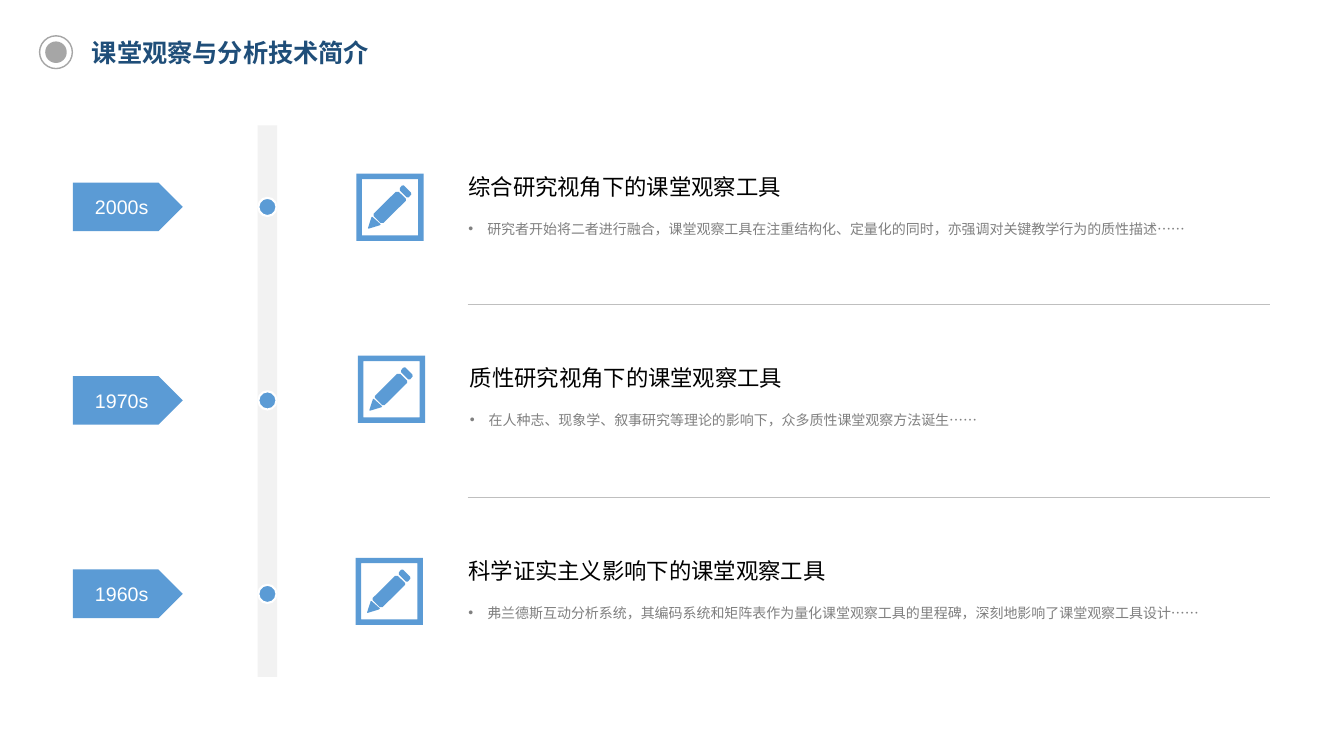
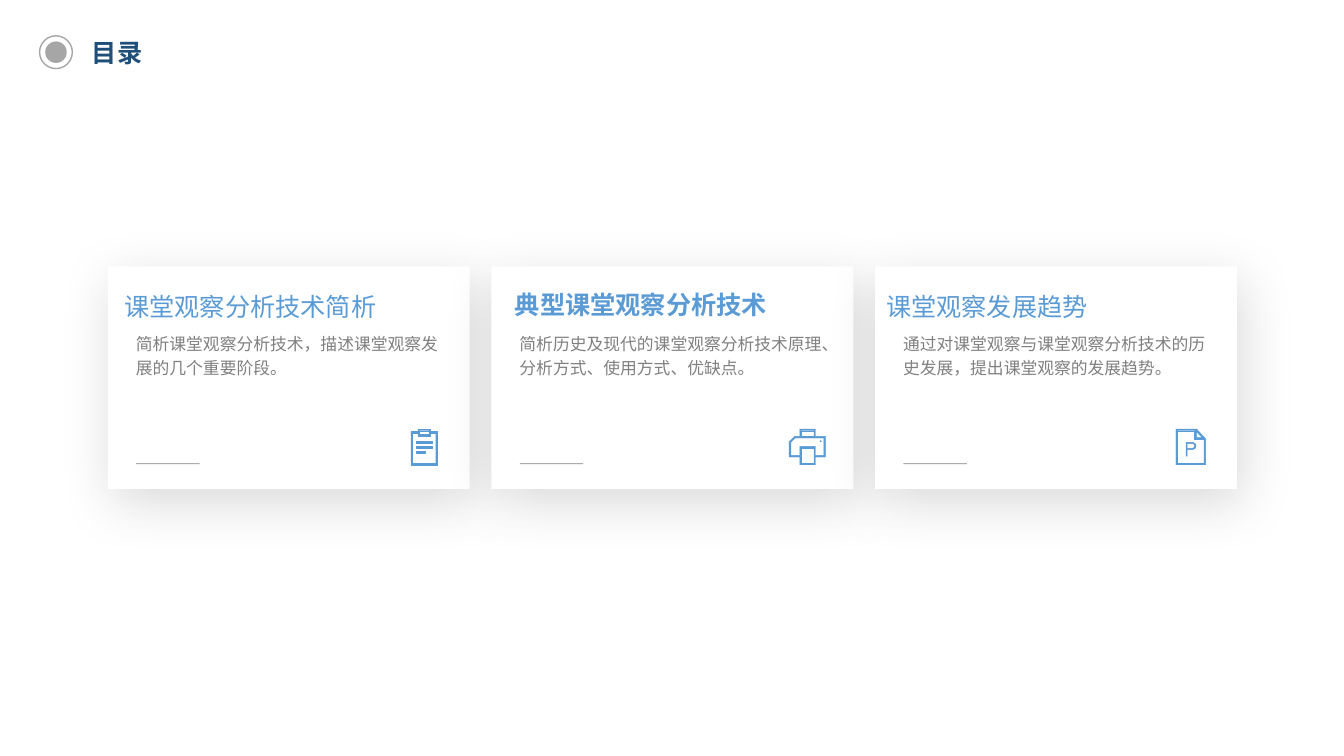
from lxml import etree
from pptx import Presentation
from pptx.dml.color import RGBColor
from pptx.enum.shapes import MSO_CONNECTOR as CONN, MSO_SHAPE as SHAPE
from pptx.enum.text import MSO_ANCHOR as ANCHOR, MSO_AUTO_SIZE as AUTO, PP_ALIGN as ALIGN
from pptx.oxml.ns import qn
from pptx.util import Pt

COLORS = {
    "blue": "5B9BD5", "navy": "1F4E79", "white": "FFFFFF", "black": "000000",
    "text": "808080", "marker": "A6A6A6", "rule": "BFBFBF", "band": "F2F2F2",
}
FONT = "Arial"
TITLE = {"size": Pt(18), "bold": True}
HEADING = {"size": Pt(16)}
DETAIL = {"size": Pt(10)}
TAG = {"size": Pt(14)}
CARD_TEXT = {"size": Pt(12)}

# Icon outlines in points; two points stand for the corners of a rectangle.
PENCIL = [
    [(0, 0), (48, 48)],
    [(3.9, 3.9), (44.1, 44.1)],
    [(28.1, 13), (12.2, 28.8), (12.2, 30.2), (17.3, 35.3), (19.2, 35.3),
     (35.3, 19.4), (35.3, 18), (30.2, 13)],
    [(33.8, 8.4), (38.9, 13.5), (39.2, 14.8), (37.4, 17), (36, 17),
     (31, 12), (31, 10.4), (32.4, 8.6)],
    [(11.5, 31), (17.3, 36.2), (16.8, 36.9), (8.6, 39.4), (8.2, 39), (10.8, 31)],
]
CLIPBOARD = [
    [(5, 0), (14, 0), (14, 1.8), (19, 1.8), (19, 25.5), (0, 25.5), (0, 1.8), (5, 1.8)],
    [(5, 2.9), (1.2, 2.9), (1.2, 24.3), (17.8, 24.3), (17.8, 2.9), (14, 2.9),
     (14, 4.8), (5, 4.8)],
    [(6.1, 1.2), (12.9, 3.6)],
    [(3.9, 8.9), (15, 10)],
    [(3.9, 12.4), (15, 13.5)],
    [(3.9, 15.9), (10, 17)],
]
PRINTER = [
    [(18.8, 0), (18.8, 5.2), (26, 5.2), (26, 20), (18.8, 20), (18.8, 25.5), (7.6, 25.5),
     (7.6, 20), (0, 20), (0, 9), (3.8, 5.2), (7.6, 5.2), (7.6, 0)],
    [(24.8, 6.4), (4.2, 6.4), (1.2, 9.4), (1.2, 18.8), (7.6, 18.8), (7.6, 12.4),
     (18.8, 12.4), (18.8, 18.8), (24.8, 18.8)],
    [(8.8, 13.6), (17.6, 24.3)],
    [(8.8, 1.2), (17.6, 5.2)],
    [(22, 8.7), (22.5, 8.2), (23, 8.7), (22.5, 9.2)],
]
DOCUMENT = [
    [(0, 0), (14.8, 0), (21.2, 6.9), (21.2, 25.5), (0, 25.5)],
    [(1.2, 1.2), (1.2, 24.3), (20, 24.3), (20, 7.3), (13.4, 7.3), (13.4, 1.2)],
    [(14.6, 1.9), (14.6, 6.1), (18.7, 6.1)],
    [(7.2, 9.5), (12, 9.5), (13.7, 10.3), (14.4, 12), (13.7, 13.9), (12, 14.7),
     (8.1, 14.7), (8.1, 19.3), (7.2, 19.3)],
    [(8.1, 10.4), (11.9, 10.4), (13, 11), (13.4, 12.1), (12.9, 13.2), (11.8, 13.8),
     (8.1, 13.8)],
]


def paint(s, fill=None, line=None, width=1):
    """Set fill and outline (none unless named) and drop the default shadow."""
    s.shadow.inherit = False
    if fill:
        s.fill.solid()
        s.fill.fore_color.rgb = RGBColor.from_string(COLORS[fill])
    else:
        s.fill.background()
    if line:
        s.line.color.rgb = RGBColor.from_string(COLORS[line])
        s.line.width = Pt(width)
    else:
        s.line.fill.background()


def write(s, text, style, color, align=ALIGN.LEFT, anchor=ANCHOR.TOP, spacing=1.0, wrap=True):
    """Fill a shape with one formatted paragraph and return that paragraph."""
    tf = s.text_frame
    tf.auto_size, tf.word_wrap, tf.vertical_anchor = AUTO.NONE, wrap, anchor
    p = tf.paragraphs[0]
    p.alignment, p.line_spacing = align, spacing
    r = p.add_run()
    r.text = text
    r.font.name = FONT
    r.font.color.rgb = RGBColor.from_string(COLORS[color])
    for name, value in style.items():
        setattr(r.font, name, value)
    return p


prs = Presentation()
prs.slide_width, prs.slide_height = Pt(960), Pt(540)

# Shared title and round marker
slides = []
for title in ("课堂观察与分析技术简介", "目录"):
    slide = prs.slides.add_slide(prs.slide_layouts[5])
    s = slide.shapes.title
    s.left, s.top, s.width, s.height = Pt(58.5), Pt(23), Pt(245.5), Pt(29)
    write(s, title, TITLE, "navy", anchor=ANCHOR.MIDDLE)
    for size, fill, line in ((23.4, None, "marker"), (15.4, "marker", None)):
        s = slide.shapes.add_shape(SHAPE.OVAL, Pt(40 - size / 2), Pt(37.3 - size / 2),
                                   Pt(size), Pt(size))
        paint(s, fill, line)
    slides.append(slide)
timeline, contents = slides
icons, rules = [], []

# Timeline, newest period first
shapes = timeline.shapes
s = shapes.add_shape(SHAPE.RECTANGLE, Pt(184), Pt(89.5), Pt(14), Pt(394))
paint(s, "band")

PERIODS = [
    ("2000s", "综合研究视角下的课堂观察工具",
     "研究者开始将二者进行融合，课堂观察工具在注重结构化、定量化的同时，亦强调对关键教学行为的质性描述……",
     (327.5, 117.5), (254.6, 124)),
    ("1970s", "质性研究视角下的课堂观察工具",
     "在人种志、现象学、叙事研究等理论的影响下，众多质性课堂观察方法诞生……",
     (328.5, 254), (255.6, 254)),
    ("1960s", "科学证实主义影响下的课堂观察工具",
     "弗兰德斯互动分析系统，其编码系统和矩阵表作为量化课堂观察工具的里程碑，深刻地影响了课堂观察工具设计……",
     (327.5, 392), (254, 398.4)),
]
ROW_PITCH = 138.2
for i, (period, heading, detail, (x, y), (icon_x, icon_y)) in enumerate(PERIODS):
    middle = 147.8 + i * ROW_PITCH
    s = shapes.add_shape(SHAPE.OVAL, Pt(184.5), Pt(middle - 6.5), Pt(13), Pt(13))
    paint(s, "blue", "white", 1.5)
    s = shapes.add_shape(SHAPE.PENTAGON, Pt(52), Pt(middle - 17.4), Pt(78.6), Pt(34.8))
    paint(s, "blue")
    write(s, period, TAG, "white", ALIGN.CENTER, ANCHOR.MIDDLE)
    s = shapes.add_textbox(Pt(x), Pt(y), Pt(580), Pt(31))
    write(s, heading, HEADING, "black", anchor=ANCHOR.MIDDLE)
    s = shapes.add_textbox(Pt(x), Pt(y + 30.3), Pt(580), Pt(64))
    pPr = write(s, detail, DETAIL, "text", spacing=1.5)._p.get_or_add_pPr()
    pPr.set("marL", str(Pt(13.5)))
    pPr.set("indent", str(-Pt(13.5)))
    etree.SubElement(pPr, qn("a:buFont"), typeface=FONT)
    etree.SubElement(pPr, qn("a:buChar"), char="•")
    icons.append((timeline, PENCIL, icon_x, icon_y, None))
    if i < len(PERIODS) - 1:
        rules.append((timeline, 334, 907, 217 + i * ROW_PITCH, "rule", 0.25, 100))

# Contents cards
CARDS = [
    ("课堂观察分析技术简析", "简析课堂观察分析技术，描述课堂观察发展的几个重要阶段。",
     False, (3.6, 200, 196.5), CLIPBOARD, 216.5),
    ("典型课堂观察分析技术", "简析历史及现代的课堂观察分析技术原理、分析方式、使用方式、优缺点。",
     True, (6.3, 198.7, 201), PRINTER, 212.7),
    ("课堂观察发展趋势", "通过对课堂观察与课堂观察分析技术的历史发展，提出课堂观察的发展趋势。",
     False, (0, 200.5, 160), DOCUMENT, 215),
]
CARD_PITCH = 274
shapes = contents.shapes
for i, (heading, detail, bold, (dx, y, width), icon, icon_dx) in enumerate(CARDS):
    x = 77 + i * CARD_PITCH
    s = shapes.add_shape(SHAPE.RECTANGLE, Pt(x), Pt(190.3), Pt(258.5), Pt(159))
    paint(s, "white")
    shadow = etree.SubElement(
        s._element.spPr.find(qn("a:effectLst")), qn("a:outerShdw"), blurRad=str(Pt(40)),
        dist=str(Pt(10)), dir=str(70 * 60000), algn="ctr", rotWithShape="0")
    color = etree.SubElement(shadow, qn("a:srgbClr"), val=COLORS["black"])
    etree.SubElement(color, qn("a:alpha"), val="15000")
    s = shapes.add_textbox(Pt(x + dx), Pt(y), Pt(width), Pt(31))
    write(s, heading, {"size": Pt(18), "bold": bold}, "blue", ALIGN.CENTER,
          spacing=1.2, wrap=False)
    s = shapes.add_textbox(Pt(x + 13), Pt(232), Pt(230.5), Pt(40.5))
    write(s, detail, CARD_TEXT, "text", spacing=1.2)
    rules.append((contents, x + 20.3, x + 65.6, 331.2, "black", 0.5, 50))
    icons.append((contents, icon, x + icon_dx, 306.5, "blue"))

# Thin rules of both slides
for slide, x0, x1, y, name, width, opacity in rules:
    s = slide.shapes.add_connector(CONN.STRAIGHT, Pt(x0), Pt(y), Pt(x1), Pt(y))
    s.line.color.rgb = RGBColor.from_string(COLORS[name])
    s.line.width = Pt(width)
    if opacity < 100:
        color = s._element.spPr.find(".//" + qn("a:srgbClr"))
        etree.SubElement(color, qn("a:alpha"), val=str(opacity * 1000))
    etree.SubElement(s._element.spPr, qn("a:effectLst"))

# Icons of both slides
for slide, outlines, x, y, line in icons:
    builder = None
    for outline in outlines:
        if len(outline) == 2:
            (x0, y0), (x1, y1) = outline
            outline = [(x0, y0), (x1, y0), (x1, y1), (x0, y1)]
        start, *rest = [(Pt(x + px), Pt(y + py)) for px, py in outline]
        if builder:
            builder.move_to(*start)
        else:
            builder = slide.shapes.build_freeform(*start)
        builder.add_line_segments(rest, close=True)
    paint(builder.convert_to_shape(), "blue", line, 0.25)

prs.save("out.pptx")
